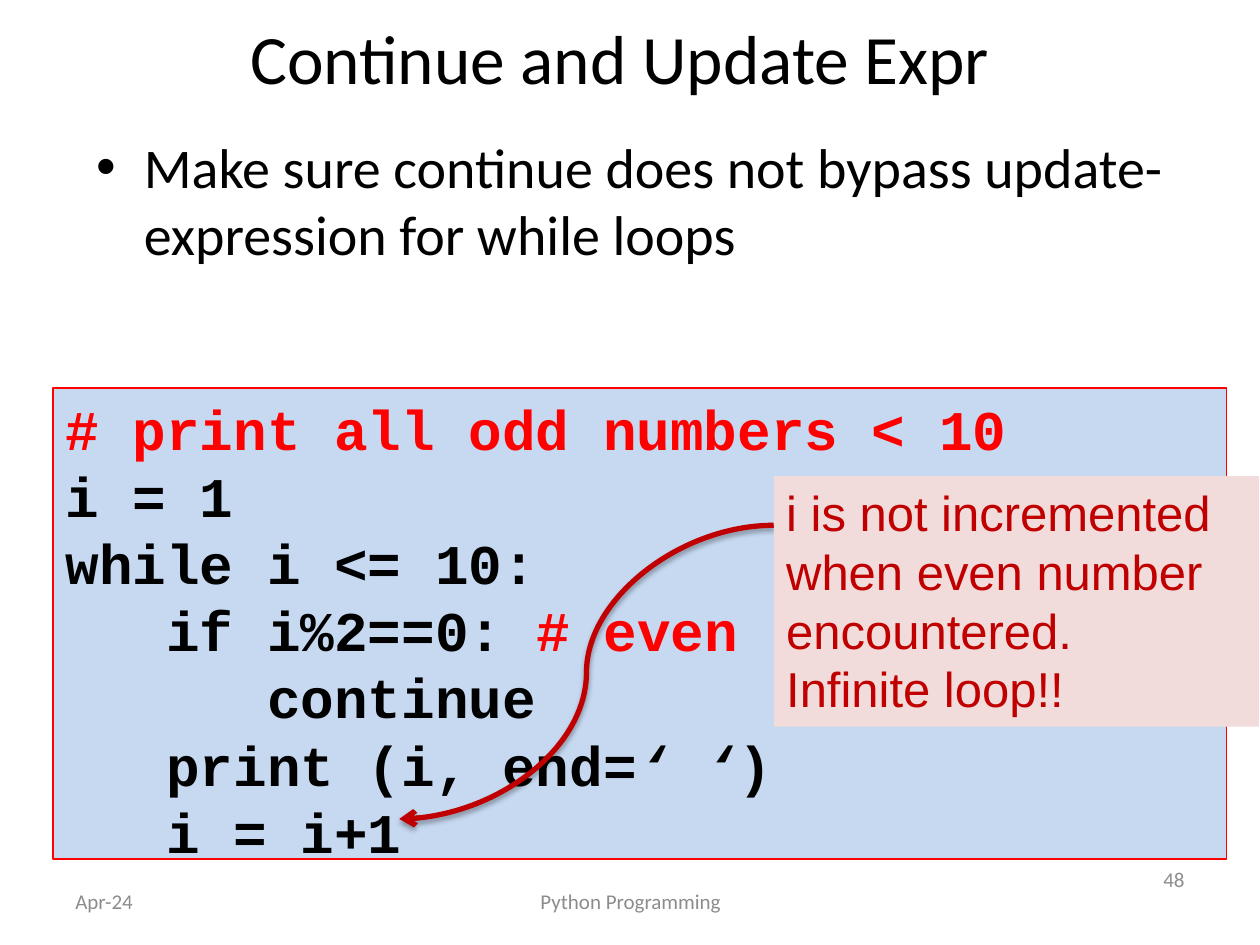
from lxml import etree
from pptx import Presentation
from pptx.dml.color import RGBColor
from pptx.enum.shapes import MSO_CONNECTOR, MSO_SHAPE
from pptx.enum.text import MSO_ANCHOR as ANCHOR, PP_ALIGN as ALIGN
from pptx.oxml.ns import qn
from pptx.util import Cm, Pt

BLACK, RED, DARK_RED, GREY = "000000", "FF0000", "C00000", "8C8C8C"

# Each code line is a list of (text, colour, italic) runs
CODE = [
    [("# print all odd numbers < 10", RED, False)],
    [("i = 1", BLACK, False)],
    [("while i <= 10:", BLACK, False)],
    [("   if i%2==0: ", BLACK, False), ("# even", RED, False)],
    [("      continue", BLACK, False)],
    [("   print (i, end=", BLACK, False), ("‘ ‘", BLACK, True), (")", BLACK, False)],
    [("   i = i+1", BLACK, False)],
]
WARNING = ["i is not incremented", "when even number", "encountered.", "Infinite loop!!"]


def rgb(value):
    return RGBColor.from_string(value)


def add_run(paragraph, text, font, size, color, bold=False, italic=False):
    run = paragraph.add_run()
    run.text = text
    run.font.name, run.font.size = font, Pt(size)
    run.font.bold, run.font.italic = bold, italic
    run.font.color.rgb = rgb(color)


def add_label(slide, box, text, size, color=BLACK, align=ALIGN.LEFT, anchor=ANCHOR.MIDDLE):
    frame = slide.shapes.add_textbox(*map(Cm, box)).text_frame
    frame.word_wrap = True
    frame.vertical_anchor = anchor
    paragraph = frame.paragraphs[0]
    paragraph.alignment = align
    add_run(paragraph, text, "Calibri", size, color)
    return paragraph


def add_bullet(paragraph):
    props = paragraph._p.get_or_add_pPr()
    props.set("marL", str(Cm(0.95)))
    props.set("indent", str(Cm(-0.95)))
    etree.SubElement(props, qn("a:buFont"), typeface="Arial")
    etree.SubElement(props, qn("a:buChar"), char="•")


def add_panel(slide, box, fill, lines, font, size, bold=False, border=None, wrap=True):
    panel = slide.shapes.add_shape(MSO_SHAPE.RECTANGLE, *map(Cm, box))
    panel.shadow.inherit = False
    panel.fill.solid()
    panel.fill.fore_color.rgb = rgb(fill)
    if border:
        panel.line.color.rgb = rgb(border)
        panel.line.width = Pt(0.75)
    else:
        panel.line.fill.background()
    frame = panel.text_frame
    frame.word_wrap = wrap
    frame.vertical_anchor = ANCHOR.TOP
    for number, runs in enumerate(lines):
        paragraph = frame.add_paragraph() if number else frame.paragraphs[0]
        paragraph.alignment = ALIGN.LEFT
        for text, color, italic in runs:
            add_run(paragraph, text, font, size, color, bold, italic)
    return panel


def add_curved_arrow(slide, start, end, color):
    arrow = slide.shapes.add_connector(MSO_CONNECTOR.CURVE, *map(Cm, start + end))
    arrow.line.color.rgb = rgb(color)
    arrow.line.width = Pt(3)
    etree.SubElement(arrow.line._get_or_add_ln(), qn("a:tailEnd"), type="arrow")
    # Soft shadow straight below the line
    effects = etree.SubElement(arrow._element.spPr, qn("a:effectLst"))
    shadow = etree.SubElement(effects, qn("a:outerShdw"), blurRad=str(Pt(3.1)),
                              dist=str(Pt(1.8)), dir="5400000", rotWithShape="0")
    black = etree.SubElement(shadow, qn("a:srgbClr"), val=BLACK)
    etree.SubElement(black, qn("a:alpha"), val="35000")


def main():
    deck = Presentation()
    deck.slide_width, deck.slide_height = Cm(25.4), Cm(19.05)
    slide = deck.slides.add_slide(deck.slide_layouts[6])

    # Code listing
    add_panel(slide, (1.07, 7.82, 23.65, 9.5), "C6D9F1", CODE, "Courier New", 32,
              bold=True, border=RED)

    # Title and bullet
    add_label(slide, (1.7, 0.2, 21.59, 1.91), "Continue and Update Expr", 39.6,
              align=ALIGN.CENTER)
    advice = add_label(
        slide, (1.7, 2.54, 22.23, 4.85),
        "Make sure continue does not bypass update-expression for while loops",
        32, anchor=ANCHOR.TOP)
    add_bullet(advice)

    # Footer
    add_label(slide, (1.27, 17.65, 5.92, 1.02), "Apr-24", 12, GREY)
    add_label(slide, (8.69, 17.65, 8.05, 1.02), "Python Programming", 12, GREY, ALIGN.CENTER)
    add_label(slide, (18.21, 17.22, 5.92, 1.02), "48", 12, GREY, ALIGN.RIGHT)

    # Warning and its arrow to the skipped update
    add_curved_arrow(slide, (15.6, 10.59), (8.05, 16.51), DARK_RED)
    add_panel(slide, (15.6, 9.6, 9.78, 5.05), "F2DCDB",
              [[(line, DARK_RED, False)] for line in WARNING], "Arial", 28, wrap=False)

    deck.save("out.pptx")


if __name__ == "__main__":
    main()
